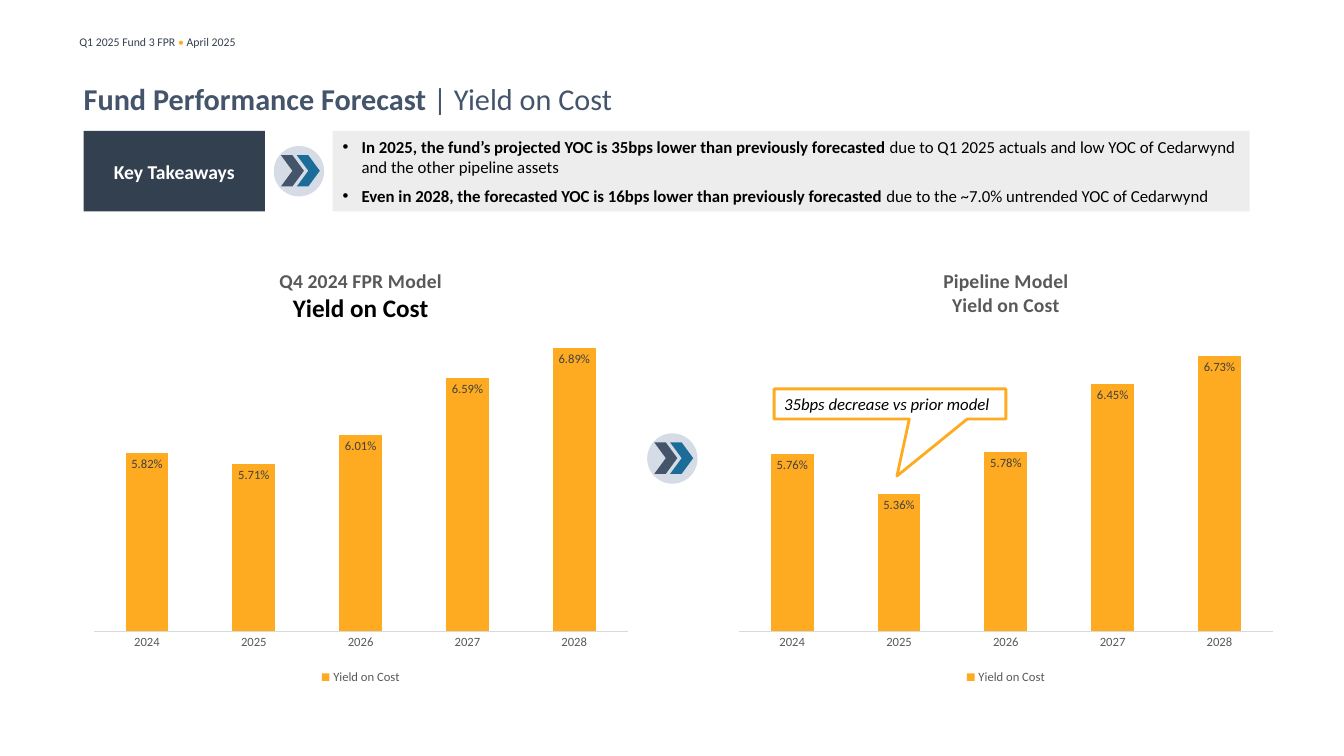
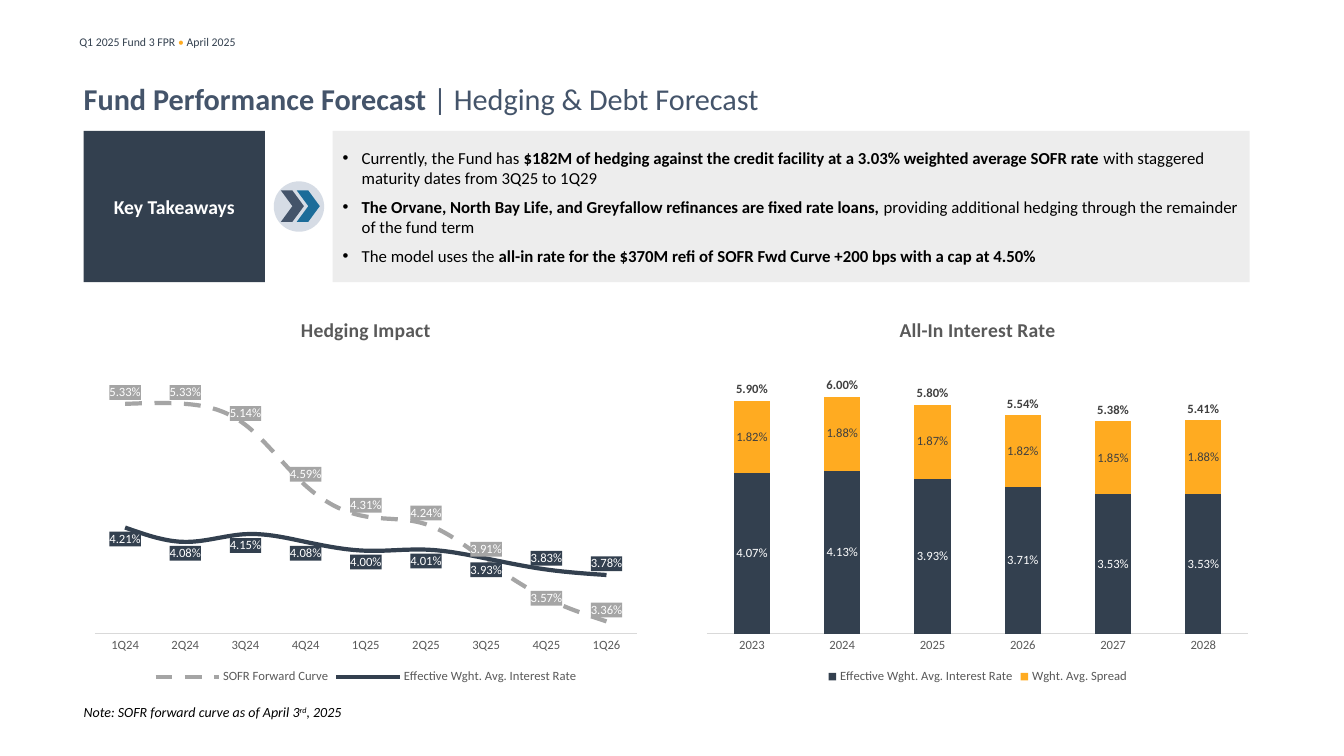
from dataclasses import dataclass, field
from typing import NamedTuple

from pptx import Presentation
from pptx.chart.data import CategoryChartData
from pptx.dml.color import RGBColor
from pptx.enum.chart import XL_CHART_TYPE, XL_LABEL_POSITION, XL_LEGEND_POSITION, XL_MARKER_STYLE, XL_TICK_MARK
from pptx.enum.dml import MSO_LINE
from pptx.enum.shapes import MSO_SHAPE
from pptx.enum.text import MSO_ANCHOR, MSO_AUTO_SIZE, PP_ALIGN
from pptx.oxml import parse_xml
from pptx.oxml.ns import nsdecls, qn
from pptx.util import Cm, Pt

COLUMN = XL_CHART_TYPE.COLUMN_CLUSTERED
STACKED = XL_CHART_TYPE.COLUMN_STACKED
LINE = XL_CHART_TYPE.LINE
ABOVE = XL_LABEL_POSITION.ABOVE
BELOW = XL_LABEL_POSITION.BELOW
CENTER = XL_LABEL_POSITION.CENTER
INSIDE_END = XL_LABEL_POSITION.INSIDE_END
MIDDLE = MSO_ANCHOR.MIDDLE
RECTANGLE = MSO_SHAPE.RECTANGLE
CHEVRON = MSO_SHAPE.CHEVRON

FONT = "Calibri"
COLORS = {
    "navy": "33404F", "slate": "44546A", "blue": "1C6C99", "mist": "D6DCE5",
    "panel": "EDEDED", "orange": "FFAB21", "gray": "A5A5A5", "rule": "D9D9D9",
    "chart_text": "595959", "label": "404040", "black": "000000", "white": "FFFFFF",
}
LEFT = 2.11
BAND_TOP = 3.3
ICON_SIZE = 1.27


class Box(NamedTuple):
    left: float
    top: float
    width: float
    height: float

    def lengths(self):
        return [Cm(value) for value in self]


class Span(NamedTuple):
    text: str
    bold: bool = False


class TitleLine(NamedTuple):
    text: str
    size: float = 14
    color: str = "chart_text"


@dataclass
class Series:
    name: str
    values: list[float]
    color: str
    label_color: str = "label"
    position: XL_LABEL_POSITION = INSIDE_END
    label_bold: bool = False
    label_fill: bool = False
    dashed: bool = False
    moved_labels: dict[int, XL_LABEL_POSITION] = field(default_factory=dict)


@dataclass
class Panel:
    kind: XL_CHART_TYPE
    box: Box
    title: list[TitleLine]
    plot_area: Box
    scale: tuple[float, float]
    categories: list[str]
    series: list[Series]
    last_is_total: bool = False


def rgb(color: str) -> RGBColor:
    return RGBColor.from_string(COLORS[color])


def style_font(font, *, size: float, color: str, bold: bool = False, italic: bool = False) -> None:
    font.name = FONT
    font.size = Pt(size)
    font.color.rgb = rgb(color)
    font.bold = bold
    font.italic = italic


def add_span(para, text: str, *, superscript: bool = False, **style) -> None:
    span = para.add_run()
    span.text = text
    style_font(span.font, **style)
    if superscript:
        span._r.get_or_add_rPr().set("baseline", "30000")


def add_figure(shapes, preset: MSO_SHAPE, box: Box, fill: str | None = None, line: str | None = None):
    figure = shapes.add_shape(preset, *box.lengths())
    figure.shadow.inherit = False
    if fill:
        figure.fill.solid()
        figure.fill.fore_color.rgb = rgb(fill)
    else:
        figure.fill.background()
    if line:
        figure.line.color.rgb = rgb(line)
        figure.line.width = Pt(2)
    else:
        figure.line.fill.background()
    figure.text_frame.vertical_anchor = MIDDLE
    return figure


def place(shape, box: Box) -> None:
    shape.left, shape.top, shape.width, shape.height = box.lengths()


def prepare_layout(layout, page) -> None:
    title = layout.placeholders[0]
    place(title, Box(LEFT, 1.52, 28, 1.9))
    frame = title.text_frame
    frame.vertical_anchor = MIDDLE
    frame.margin_left = frame.margin_right = frame.margin_top = frame.margin_bottom = 0
    header = page.shapes.add_textbox(*Box(1.75, 0.74, 11.46, 0.61).lengths())
    header.text_frame.word_wrap = True
    para = header.text_frame.paragraphs[0]
    for text, color in (("Q1 2025 Fund 3 FPR ", "navy"), ("• ", "orange"), ("April 2025", "navy")):
        add_span(para, text, size=8.4, color=color)
    layout.element.cSld.spTree.append(header.element)


def add_icon(page, left: float, top: float) -> None:
    shapes = page.shapes.add_group_shape().shapes
    add_figure(shapes, MSO_SHAPE.OVAL, Box(left, top, ICON_SIZE, ICON_SIZE), "mist")
    for offset, color in ((0.18, "slate"), (0.58, "blue")):
        add_figure(shapes, CHEVRON, Box(left + offset, top + 0.23, 0.58, 0.79), color)


def add_heading(page, topic: str) -> None:
    para = page.shapes.title.text_frame.paragraphs[0]
    para.alignment = PP_ALIGN.LEFT
    add_span(para, "Fund Performance Forecast ", size=21.6, color="slate", bold=True)
    add_span(para, f"| {topic}", size=21.6, color="slate")


def add_takeaways(page, height: float, points: list[list[Span]]) -> None:
    label = add_figure(page.shapes, RECTANGLE, Box(LEFT, BAND_TOP, 4.57, height), "navy")
    para = label.text_frame.paragraphs[0]
    para.alignment = PP_ALIGN.CENTER
    add_span(para, "Key Takeaways", size=14, color="white", bold=True)
    add_icon(page, 6.9, BAND_TOP + (height - ICON_SIZE) / 2)

    body = page.placeholders[1]
    place(body, Box(8.38, BAND_TOP, 23.11, height))
    body.fill.solid()
    body.fill.fore_color.rgb = rgb("panel")
    frame = body.text_frame
    frame.auto_size = MSO_AUTO_SIZE.NONE
    frame.vertical_anchor = MIDDLE
    for index, spans in enumerate(points):
        para = frame.add_paragraph() if index else frame.paragraphs[0]
        para.space_before = Pt(6 if index else 0)
        properties = para._p.get_or_add_pPr()
        properties.set("marL", str(Cm(0.48)))
        properties.set("indent", str(-Cm(0.48)))
        for span in spans:
            add_span(para, span.text, size=12, color="black", bold=span.bold)


def add_callout(page, text: str) -> None:
    callout = add_figure(page.shapes, MSO_SHAPE.RECTANGULAR_CALLOUT, Box(19.51, 9.8, 5.84, 0.76), line="orange")
    callout.adjustments[0] = 0.03
    callout.adjustments[1] = 2.39
    para = callout.text_frame.paragraphs[0]
    para.alignment = PP_ALIGN.LEFT
    add_span(para, text, size=12, color="black", italic=True)


def add_note(page) -> None:
    note = page.shapes.add_textbox(*Box(LEFT, 17.6, 29.36, 0.69).lengths())
    frame = note.text_frame
    frame.word_wrap = True
    frame.margin_left = frame.margin_right = 0
    para = frame.paragraphs[0]
    for text, raised in (("Note: SOFR forward curve as of April 3", False), ("rd", True), (", 2025", False)):
        add_span(para, text, size=10, color="black", italic=True, superscript=raised)


def set_plot_area(chart, area: Box) -> None:
    plot_area = chart._chartSpace.chart.plotArea
    for old in plot_area.findall(qn("c:layout")):
        plot_area.remove(old)
    sizes = "".join(f'<c:{tag} val="{value}"/>' for tag, value in zip("xywh", area))
    plot_area.insert(0, parse_xml(
        f'<c:layout {nsdecls("c")}><c:manualLayout><c:layoutTarget val="inner"/>'
        f'<c:xMode val="edge"/><c:yMode val="edge"/>{sizes}</c:manualLayout></c:layout>'))


def turn_last_series_into_line(chart) -> None:
    bars = chart._chartSpace.chart.plotArea.find(qn("c:barChart"))
    total = bars.findall(qn("c:ser"))[-1]
    for extra in total.findall(qn("c:invertIfNegative")):
        total.remove(extra)
    axes = "".join(f'<c:axId val="{axis.get("val")}"/>' for axis in bars.findall(qn("c:axId")))
    lines = parse_xml(
        f'<c:lineChart {nsdecls("c")}><c:grouping val="standard"/><c:varyColors val="0"/>'
        f'<c:marker val="1"/>{axes}</c:lineChart>')
    lines.insert(2, total)
    bars.addnext(lines)
    index = total.find(qn("c:idx")).get("val")
    chart.legend._element.find(qn("c:legendPos")).addnext(parse_xml(
        f'<c:legendEntry {nsdecls("c")}><c:idx val="{index}"/><c:delete val="1"/></c:legendEntry>'))


def style_labels(drawn, series: Series) -> None:
    labels = drawn.data_labels
    labels.show_value = True
    labels.number_format = "0.00%"
    labels.number_format_is_linked = False
    labels.position = series.position
    fonts = [labels.font]
    for index, position in series.moved_labels.items():
        label = drawn.points[index].data_label
        fonts.append(label.font)
        label.position = position
    for font in fonts:
        style_font(font, size=9, color=series.label_color, bold=series.label_bold)
    if series.label_fill:
        for text in list(drawn._element.iter(qn("c:txPr"))):
            text.addprevious(parse_xml(
                f'<c:spPr {nsdecls("c", "a")}><a:solidFill>'
                f'<a:srgbClr val="{COLORS[series.color]}"/></a:solidFill></c:spPr>'))


def style_axes(chart, scale: tuple[float, float]) -> None:
    years = chart.category_axis
    years.major_tick_mark = XL_TICK_MARK.NONE
    years.format.line.color.rgb = rgb("rule")
    years.format.line.width = Pt(0.75)
    amounts = chart.value_axis
    amounts.has_major_gridlines = False
    amounts.minimum_scale, amounts.maximum_scale = scale
    amounts.visible = False
    if amounts._element.find(qn("c:crossBetween")) is None:
        amounts._element.find(qn("c:crosses")).addnext(
            parse_xml(f'<c:crossBetween {nsdecls("c")} val="between"/>'))


def add_panel(page, panel: Panel) -> None:
    data = CategoryChartData(number_format="0.00%")
    data.categories = panel.categories
    for series in panel.series:
        data.add_series(series.name, series.values)
    chart = page.shapes.add_chart(panel.kind, *panel.box.lengths(), data).chart
    style_font(chart.font, size=9, color="chart_text")
    chart.has_title = True
    chart.chart_title.include_in_layout = False
    frame = chart.chart_title.text_frame
    for index, line in enumerate(panel.title):
        para = frame.add_paragraph() if index else frame.paragraphs[0]
        add_span(para, line.text, size=line.size, color=line.color, bold=True)
    chart.has_legend = True
    chart.legend.position = XL_LEGEND_POSITION.BOTTOM
    chart.legend.include_in_layout = False
    style_axes(chart, panel.scale)
    set_plot_area(chart, panel.plot_area)
    chart.plots[0].vary_by_categories = False
    if panel.kind != LINE:
        chart.plots[0].gap_width = 150
    if panel.last_is_total:
        turn_last_series_into_line(chart)
    all_series = [series for plot in chart.plots for series in plot.series]
    for drawn, series in zip(all_series, panel.series):
        if panel.kind == LINE:
            drawn.smooth = True
            drawn.marker.style = XL_MARKER_STYLE.NONE
            drawn.format.line.color.rgb = rgb(series.color)
            drawn.format.line.width = Pt(3)
            if series.dashed:
                drawn.format.line.dash_style = MSO_LINE.DASH
        elif panel.last_is_total and series is panel.series[-1]:
            drawn.smooth = False
            drawn.marker.style = XL_MARKER_STYLE.NONE
            drawn.format.line.fill.background()
        else:
            drawn.format.fill.solid()
            drawn.format.fill.fore_color.rgb = rgb(series.color)
        style_labels(drawn, series)


def build_yield(page) -> None:
    add_heading(page, "Yield on Cost")
    add_takeaways(page, 2.03, [
        [Span("In 2025, the fund’s projected YOC is 35bps lower than previously forecasted ", True),
         Span("due to Q1 2025 actuals and low YOC of Cedarwynd and the other pipeline assets")],
        [Span("Even in 2028, the forecasted YOC is 16bps lower than previously forecasted ", True),
         Span("due to the ~7.0% untrended YOC of Cedarwynd")],
    ])
    add_icon(page, 16.31, 10.92)
    models = (
        (2.08, [TitleLine("Q4 2024 FPR Model"), TitleLine("Yield on Cost", 18, "black")],
         Box(0.02, 0.2, 0.96, 0.67), [0.0582, 0.0571, 0.0601, 0.0659, 0.0689]),
        (18.34, [TitleLine("Pipeline Model"), TitleLine("Yield on Cost")],
         Box(0.02, 0.18, 0.96, 0.69), [0.0576, 0.0536, 0.0578, 0.0645, 0.0673]),
    )
    years = [str(year) for year in range(2024, 2029)]
    for left, title, area, values in models:
        add_panel(page, Panel(COLUMN, Box(left, 6.3, 14.02, 11.05), title, area, (0.04, 0.07), years,
                              [Series("Yield on Cost", values, "orange")]))
    add_callout(page, "35bps decrease vs prior model")


def build_hedging(page) -> None:
    add_heading(page, "Hedging & Debt Forecast")
    add_takeaways(page, 3.81, [
        [Span("Currently, the Fund has "),
         Span("$182M of hedging against the credit facility at a 3.03% weighted average SOFR rate ", True),
         Span("with staggered maturity dates from 3Q25 to 1Q29")],
        [Span("The Orvane, North Bay Life, and Greyfallow refinances are fixed rate loans, ", True),
         Span("providing additional hedging through the remainder of the fund term")],
        [Span("The model uses the "),
         Span("all-in rate for the $370M refi of SOFR Fwd Curve +200 bps with a cap at 4.50%", True)],
    ])
    area = Box(0.02, 0.15, 0.96, 0.71)
    rate = "Effective Wght. Avg. Interest Rate"
    quarters = ["1Q24", "2Q24", "3Q24", "4Q24", "1Q25", "2Q25", "3Q25", "4Q25", "1Q26"]
    add_panel(page, Panel(
        LINE, Box(LEFT, 7.54, 14.22, 9.8), [TitleLine("Hedging Impact")], area, (0.0325, 0.0575), quarters,
        [Series("SOFR Forward Curve",
                [0.0533, 0.0533, 0.0514, 0.0459, 0.0431, 0.0424, 0.0391, 0.0357, 0.0336],
                "gray", "white", ABOVE, label_fill=True, dashed=True, moved_labels={7: CENTER}),
         Series(rate, [0.0421, 0.0408, 0.0415, 0.0408, 0.04, 0.0401, 0.0393, 0.0383, 0.0378],
                "navy", "white", BELOW, label_fill=True, moved_labels={7: ABOVE, 8: ABOVE})]))
    add_panel(page, Panel(
        STACKED, Box(17.53, 7.54, 14.22, 9.8), [TitleLine("All-In Interest Rate")], area, (0, 0.07),
        [str(year) for year in range(2023, 2029)],
        [Series(rate, [0.0407, 0.0413, 0.0393, 0.0371, 0.0353, 0.0353], "navy", "white", CENTER),
         Series("Wght. Avg. Spread", [0.0182, 0.0188, 0.0187, 0.0182, 0.0185, 0.0188], "orange", position=CENTER),
         Series("Total", [0.059, 0.06, 0.058, 0.0554, 0.0538, 0.0541], "gray", position=ABOVE, label_bold=True)],
        last_is_total=True))
    add_note(page)


def main() -> None:
    deck = Presentation()
    deck.slide_width, deck.slide_height = Cm(33.87), Cm(19.05)
    layout = deck.slide_layouts[1]
    pages = [deck.slides.add_slide(layout) for _ in range(2)]
    prepare_layout(layout, pages[0])
    build_yield(pages[0])
    build_hedging(pages[1])
    deck.save("out.pptx")


if __name__ == "__main__":
    main()
